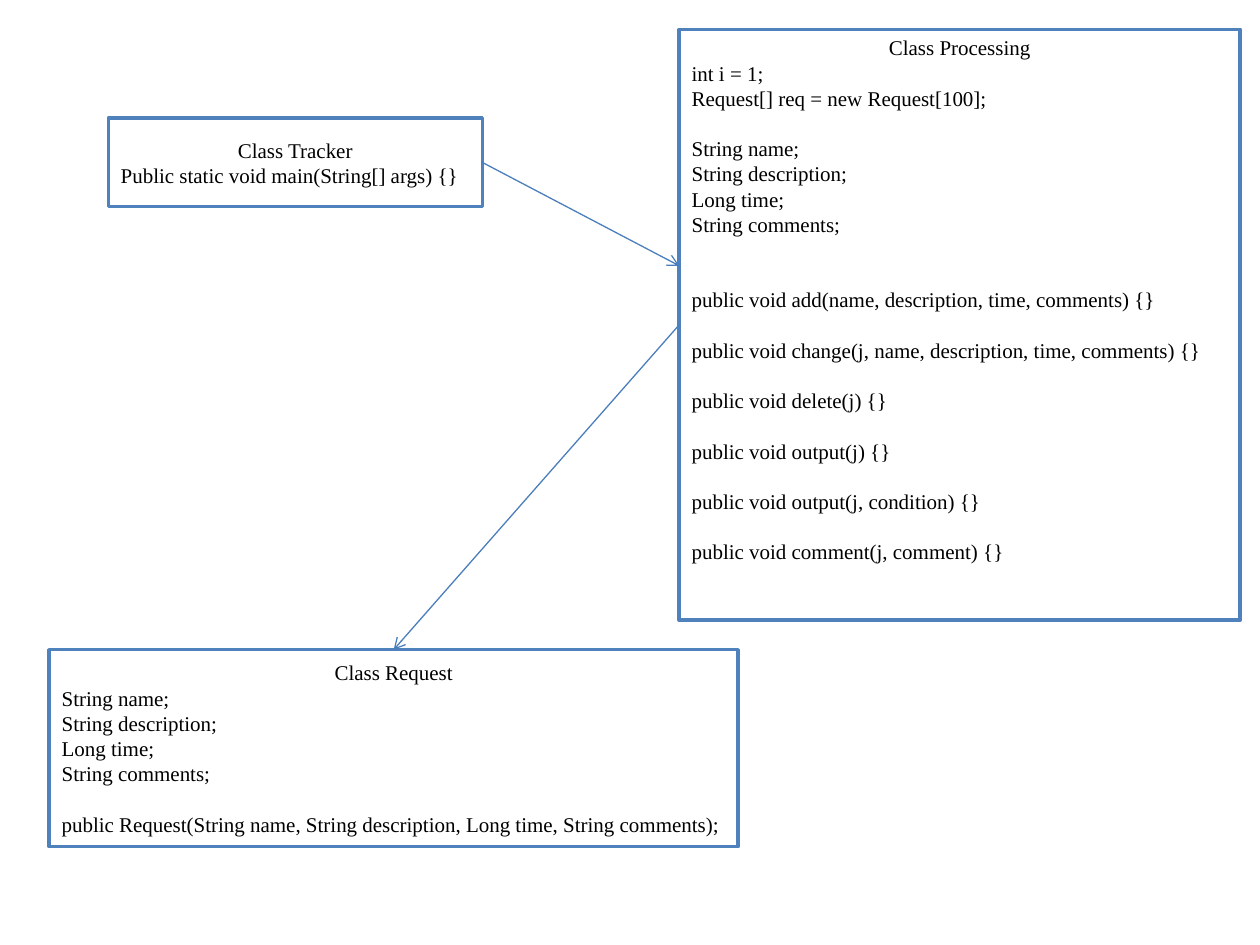
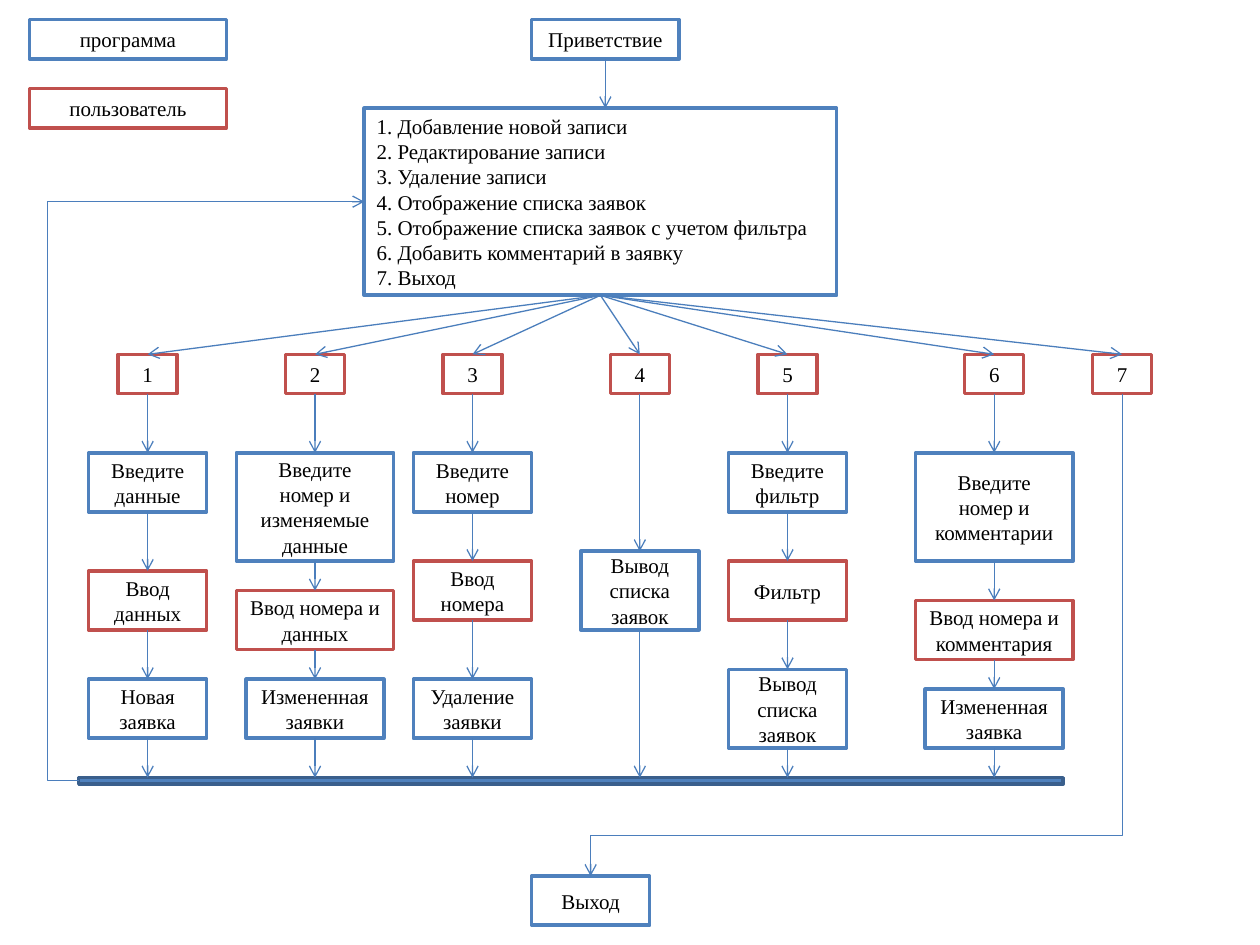
import pptx
import pptx.util
import pptx.dml.color
import pptx.enum.shapes
import pptx.enum.text
import pptx.oxml.ns
import lxml.etree

COLORS = {"program": "4F81BD", "user": "C0504D", "arrow": "4B7EBC",
          "bar_edge": "3A5F8C", "paper": "FFFFFF", "ink": "000000"}
FONT, TEXT_SIZE, LINE_PITCH = "Times New Roman", 12, 14.4
COLUMNS, ROWS = 128, 96
SLIDE_WIDTH, SLIDE_HEIGHT = 10, 7.5
CELL = SLIDE_WIDTH / COLUMNS
LEFT, CENTER = pptx.enum.text.PP_ALIGN.LEFT, pptx.enum.text.PP_ALIGN.CENTER

# Places are (column, row, columns wide, rows high) on the slide grid.
# Members are (text, blank lines above); spare is the number of free lines below.
FIELDS = [("String name;", 0), ("String description;", 0),
          ("Long time;", 0), ("String comments;", 0)]
CLASSES = [
    {"title": "Class Tracker", "place": (11, 12, 38, 9), "spare": 0,
     "members": [("Public static void main(String[] args) {}", 0)]},
    {"title": "Class Request", "place": (5, 66, 70, 20), "spare": 0,
     "members": FIELDS + [("public Request(String name, String description, "
                           "Long time, String comments);", 1)]},
    {"title": "Class Processing", "place": (69, 3, 57, 60), "spare": 2,
     "members": [("int i = 1;", 0), ("Request[] req = new Request[100];", 0),
                 ("String name;", 1)] + FIELDS[1:] + [
         ("public void add(name, description, time, comments) {}", 2),
         ("public void change(j, name, description, time, comments) {}", 1),
         ("public void delete(j) {}", 1),
         ("public void output(j) {}", 1),
         ("public void output(j, condition) {}", 1),
         ("public void comment(j, comment) {}", 1)]},
]
CLASS_ARROWS = [((49, 16.5), (69, 27)), ((69, 33), (40, 66))]

LEGEND = [("программа", "program", (3, 2, 20, 4)),
          ("пользователь", "user", (3, 9, 20, 4))]
GREETING = ("Приветствие", "program", (54, 2, 15, 4))
EXIT = ("Выход", "program", (54, 89, 12, 5))
MENU_PLACE = (37, 11, 48, 19)
MENU = ["Добавление новой записи", "Редактирование записи", "Удаление записи",
        "Отображение списка заявок", "Отображение списка заявок с учетом фильтра",
        "Добавить комментарий в заявку", "Выход"]
CHOICE_TOP, CHOICE_WIDTH, CHOICE_HEIGHT = 36, 6, 4
# Each branch: centre column, then steps (text, actor, top row, width, height).
BRANCHES = [
    (15, [("Введите данные", "program", 46, 12, 6),
          ("Ввод данных", "user", 58, 12, 6),
          ("Новая заявка", "program", 69, 12, 6)]),
    (32, [("Введите\nномер и изменяемые данные", "program", 46, 16, 11),
          ("Ввод номера и данных", "user", 60, 16, 6),
          ("Измененная заявки", "program", 69, 14, 6)]),
    (48, [("Введите номер", "program", 46, 12, 6),
          ("Ввод номера", "user", 57, 12, 6),
          ("Удаление заявки", "program", 69, 12, 6)]),
    (65, [("Вывод списка\nзаявок", "program", 56, 12, 8)]),
    (80, [("Введите фильтр", "program", 46, 12, 6),
          ("Фильтр", "user", 57, 12, 6),
          ("Вывод списка\nзаявок", "program", 68, 12, 8)]),
    (101, [("Введите\nномер и комментарии", "program", 46, 16, 11),
           ("Ввод номера и комментария", "user", 61, 16, 6),
           ("Измененная заявка", "program", 70, 14, 6)]),
    (114, []),
]
BAR = (8, 79, 100, 0.64)
LOOP_COLUMN, EXIT_ROW = 4.8, 84.9


def grid(*cells):
    """Turn grid cells into slide lengths."""
    return [pptx.util.Inches(cell * CELL) for cell in cells]


def rgb(name):
    """Look up a palette colour."""
    return pptx.dml.color.RGBColor.from_string(COLORS[name])


def rectangle(slide, place, fill, edge):
    """Draw a flat outlined rectangle."""
    shape = slide.shapes.add_shape(
        pptx.enum.shapes.MSO_SHAPE.RECTANGLE, *grid(*place))
    shape.shadow.inherit = False
    shape.fill.solid()
    shape.fill.fore_color.rgb = rgb(fill)
    shape.line.color.rgb = rgb(edge)
    shape.line.width = pptx.util.Pt(2)
    return shape


def box(slide, place, actor, lines, spare=0):
    """Draw a box with lines of (text, alignment, blank lines above)."""
    frame = rectangle(slide, place, "paper", actor).text_frame
    frame.word_wrap = True
    frame.vertical_anchor = pptx.enum.text.MSO_ANCHOR.MIDDLE
    frame.margin_bottom = pptx.util.Inches(0.05) + pptx.util.Pt(spare * LINE_PITCH)
    for number, (text, alignment, gap) in enumerate(lines):
        paragraph = frame.add_paragraph() if number else frame.paragraphs[0]
        paragraph.text = text
        paragraph.alignment = alignment
        paragraph.space_before = pptx.util.Pt(gap * LINE_PITCH)
        paragraph.font.name = FONT
        paragraph.font.size = pptx.util.Pt(TEXT_SIZE)
        paragraph.font.color.rgb = rgb("ink")
    return frame


def label(slide, text, actor, place):
    """Draw a box with centred text."""
    box(slide, place, actor, [(line, CENTER, 0) for line in text.split("\n")])


def arrow(slide, start, end, kind="STRAIGHT"):
    """Draw a thin connector with an open head at its end."""
    connector = slide.shapes.add_connector(
        pptx.enum.shapes.MSO_CONNECTOR[kind], *grid(*start, *end))
    connector.line.color.rgb = rgb("arrow")
    connector.line.width = pptx.util.Pt(0.75)
    qn = pptx.oxml.ns.qn
    properties = connector._element.spPr
    lxml.etree.SubElement(properties.find(qn("a:ln")), qn("a:tailEnd"), type="arrow")
    lxml.etree.SubElement(properties, qn("a:effectLst"))
    return connector


def bend(connector, share):
    """Place the middle leg of an elbow at a share of its length."""
    qn = pptx.oxml.ns.qn
    geometry = connector._element.spPr.find(qn("a:prstGeom"))
    guides = geometry.find(qn("a:avLst"))
    if guides is None:
        guides = lxml.etree.SubElement(geometry, qn("a:avLst"))
    lxml.etree.SubElement(guides, qn("a:gd"), name="adj1",
                          fmla=f"val {round(share * 100000)}")


def elbow_across(slide, start, end, column):
    """Draw an elbow that leaves sideways and turns at a column."""
    bend(arrow(slide, start, end, "ELBOW"),
         (column - start[0]) / (end[0] - start[0]))


def elbow_down(slide, start, end, row):
    """Draw an elbow that goes down and left, turning at a row."""
    middle_x, middle_y = (start[0] + end[0]) / 2, (start[1] + end[1]) / 2
    half_run, half_drop = (start[0] - end[0]) / 2, (end[1] - start[1]) / 2
    connector = arrow(slide, (middle_x - half_drop, middle_y - half_run),
                      (middle_x + half_drop, middle_y + half_run), "ELBOW")
    connector._element.spPr.find(pptx.oxml.ns.qn("a:xfrm")).set("rot", "5400000")
    bend(connector, (row - start[1]) / (end[1] - start[1]))


def class_slide(slide):
    """Draw the class diagram."""
    for item in CLASSES:
        lines = [(item["title"], CENTER, 0)]
        lines += [(text, LEFT, gap) for text, gap in item["members"]]
        box(slide, item["place"], "program", lines, item["spare"])
    for start, end in CLASS_ARROWS:
        arrow(slide, start, end)


def flow_slide(slide):
    """Draw the flow from greeting through the menu branches to the exit."""
    for text, actor, place in LEGEND + [GREETING, EXIT]:
        label(slide, text, actor, place)

    menu_left, menu_top, menu_width, menu_height = MENU_PLACE
    menu = box(slide, MENU_PLACE, "program",
               [(f"{n}. {text}", LEFT, 0) for n, text in enumerate(MENU, 1)])
    hang = pptx.util.Inches(0.25)
    for paragraph in menu.paragraphs:
        indents = paragraph._p.get_or_add_pPr()
        indents.set("marL", str(hang))
        indents.set("indent", str(-hang))
    left, top, width, height = GREETING[2]
    arrow(slide, (left + width / 2, top + height), (left + width / 2, menu_top))

    rectangle(slide, BAR, "program", "bar_edge")
    menu_exit = (menu_left + menu_width / 2, menu_top + menu_height)
    for number, (center, steps) in enumerate(BRANCHES, 1):
        label(slide, str(number), "user",
              (center - CHOICE_WIDTH / 2, CHOICE_TOP, CHOICE_WIDTH, CHOICE_HEIGHT))
        arrow(slide, menu_exit, (center, CHOICE_TOP))
        bottom = CHOICE_TOP + CHOICE_HEIGHT
        for text, actor, top, width, height in steps:
            label(slide, text, actor, (center - width / 2, top, width, height))
            arrow(slide, (center, bottom), (center, top))
            bottom = top + height
        if steps:
            arrow(slide, (center, bottom), (center, BAR[1]))
        else:
            left, top, width, _ = EXIT[2]
            elbow_down(slide, (center, bottom), (left + width / 2, top), EXIT_ROW)

    elbow_across(slide, (BAR[0], BAR[1] + BAR[3] / 2),
                 (menu_left, menu_top + menu_height / 2), LOOP_COLUMN)


deck = pptx.Presentation()
deck.slide_width = pptx.util.Inches(SLIDE_WIDTH)
deck.slide_height = pptx.util.Inches(SLIDE_HEIGHT)
for draw in (class_slide, flow_slide):
    draw(deck.slides.add_slide(deck.slide_layouts[6]))
deck.save("out.pptx")
